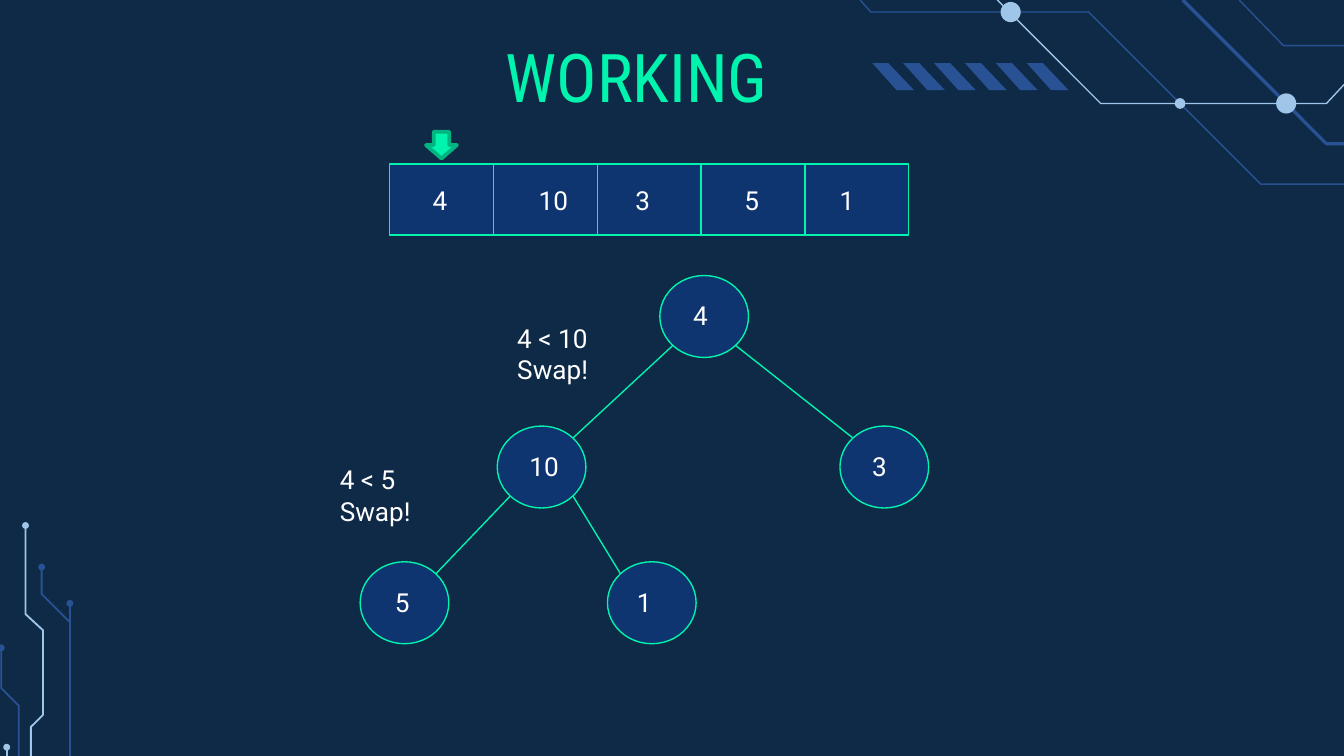
from math import sqrt

from pptx import Presentation
from pptx.dml.color import RGBColor
from pptx.enum.shapes import MSO_CONNECTOR as CONNECTOR, MSO_SHAPE as SHAPE
from pptx.enum.text import MSO_ANCHOR as ANCHOR, MSO_AUTO_SIZE as AUTO_SIZE, PP_ALIGN as ALIGN
from pptx.oxml.xmlchemy import OxmlElement
from pptx.util import Inches, Pt

NAVY = RGBColor(0x0E, 0x2A, 0x47)
BLUE = RGBColor(0x0F, 0x35, 0x70)
GREEN = RGBColor(0x00, 0xF4, 0xAD)
DARK_GREEN = RGBColor(0x00, 0xB5, 0x80)
CIRCUIT = RGBColor(0x28, 0x52, 0x93)
LIGHT = RGBColor(0x9F, 0xC5, 0xE8)
WHITE = RGBColor(0xFF, 0xFF, 0xFF)

SLIDE_WIDTH, SLIDE_HEIGHT = 10, 10 * 9 / 16
NODE_WIDTH, NODE_HEIGHT = 0.66, 0.61
ARRAY_LEFT, ARRAY_WIDTH = 2.9, 3.86

TOP_TRACES = [
    (CIRCUIT, 1.75, [(8.8, 0), (9.87, 1.07), (10, 1.07)]),
    (LIGHT, 0.75, [(7.42, 0), (8.19, 0.77), (9.87, 0.77), (10, 0.63)]),
    (CIRCUIT, 0.75, [(6.4, 0), (6.48, 0.09), (8.1, 0.09), (9.38, 1.37), (10, 1.37)]),
    (CIRCUIT, 0.75, [(9.22, 0), (9.55, 0.34), (10, 0.34)]),
]
TOP_DOTS = [(8.78, 0.77, 0.08), (7.52, 0.09, 0.15), (9.57, 0.77, 0.15)]
CORNER_TRACES = [
    (LIGHT, [(0.19, 3.91), (0.19, 4.57), (0.32, 4.69), (0.32, 5.32), (0.23, 5.41), (0.23, SLIDE_HEIGHT)]),
    (CIRCUIT, [(0.52, 4.49), (0.52, SLIDE_HEIGHT)]),
    (CIRCUIT, [(0.31, 4.22), (0.31, 4.42), (0.52, 4.63)]),
    (CIRCUIT, [(0.01, 4.82), (0.01, 5.12), (0.14, 5.25), (0.14, SLIDE_HEIGHT)]),
    (LIGHT, [(0.05, 5.56), (0.05, SLIDE_HEIGHT)]),
]
CELLS = [("4", 3.12, 0.35), ("10", 3.91, 0.44), ("3", 4.63, 0.36), ("5", 5.44, 0.36), ("1", 6.15, 0.53)]
NODES = {
    "4": (4.91, 2.05, 5.06, 0.36),
    "10": (3.7, 3.17, 3.84, 0.51),
    "3": (6.25, 3.17, 6.39, 0.36),
    "5": (2.68, 4.18, 2.84, 0.36),
    "1": (4.52, 4.18, 4.64, 0.53),
}
EDGES = [("4", "10"), ("10", "5"), ("10", "1"), ("4", "3")]
NOTES = [(3.75, 2.35, 0.91, "4 < 10"), (2.43, 3.4, 0.85, "4 < 5")]


def style_shape(shape, fill, line=None, weight=0.75):
    """Give a shape its fill and outline, without a shadow."""
    shape.shadow.inherit = False
    if fill is None:
        shape.fill.background()
    else:
        shape.fill.solid()
        shape.fill.fore_color.rgb = fill
    if line is None:
        shape.line.fill.background()
    else:
        shape.line.color.rgb = line
        shape.line.width = Pt(weight)


def add_preset(slide, kind, left, top, width, height, fill, line=None, weight=0.75):
    """Add a filled preset shape."""
    shape = slide.shapes.add_shape(kind, Inches(left), Inches(top), Inches(width), Inches(height))
    style_shape(shape, fill, line, weight)


def add_dot(slide, x, y, size, color, line=None):
    """Add a dot centred on a point."""
    add_preset(slide, SHAPE.OVAL, x - size / 2, y - size / 2, size, size, color, line)


def add_line(slide, start, end, color, weight=0.75):
    """Add a straight line between two points."""
    ends = [Inches(value) for value in (*start, *end)]
    connector = slide.shapes.add_connector(CONNECTOR.STRAIGHT, *ends)
    connector.line.color.rgb = color
    connector.line.width = Pt(weight)
    connector._element.spPr.append(OxmlElement("a:effectLst"))


def add_outline(slide, points, close):
    """Add a freeform through the points."""
    points = [(Inches(x), Inches(y)) for x, y in points]
    builder = slide.shapes.build_freeform(*points[0])
    builder.add_line_segments(points[1:], close=close)
    return builder.convert_to_shape()


def add_trace(slide, points, color, weight):
    """Add a circuit trace."""
    if len(points) == 2:
        add_line(slide, *points, color, weight)
    else:
        style_shape(add_outline(slide, points, False), None, color, weight)


def add_text(slide, left, top, width, height, lines, inset=0.1):
    """Add a white text box with one paragraph a line."""
    box = slide.shapes.add_textbox(Inches(left), Inches(top), Inches(width), Inches(height))
    frame = box.text_frame
    frame.word_wrap = True
    frame.margin_top = frame.margin_bottom = Inches(inset)
    frame.text = "\n".join(lines)
    for paragraph in frame.paragraphs:
        paragraph.font.name = "Roboto"
        paragraph.font.size = Pt(14)
        paragraph.font.color.rgb = WHITE


def add_circuit(slide):
    """Draw the circuit decoration in both corners."""
    for color, weight, points in TOP_TRACES:
        add_trace(slide, points, color, weight)
    for x, y, size in TOP_DOTS:
        add_dot(slide, x, y, size, LIGHT)
    for index in range(6):
        left = 6.49 + 0.23 * index
        corners = [(left, 0.47), (left + 0.18, 0.67), (left + 0.31, 0.67), (left + 0.12, 0.47)]
        style_shape(add_outline(slide, corners, True), CIRCUIT)
    for color, points in CORNER_TRACES:
        add_trace(slide, points, color, 1)
        add_dot(slide, *points[0], 0.04, color, color)


def set_title(slide, text):
    """Place and format the title."""
    title = slide.shapes.title
    title.left, title.top, title.width, title.height = map(Inches, (0.58, 0.26, 8.43, 0.53))
    frame = title.text_frame
    frame.margin_left = frame.margin_right = frame.margin_top = frame.margin_bottom = 0
    frame.auto_size = AUTO_SIZE.NONE
    frame.vertical_anchor = ANCHOR.TOP
    frame.text = text
    paragraph = frame.paragraphs[0]
    paragraph.alignment = ALIGN.CENTER
    paragraph.font.name = "Roboto Condensed"
    paragraph.font.size = Pt(36)
    paragraph.font.color.rgb = GREEN


def add_array(slide):
    """Draw the array cells, their values and the pointer."""
    cell_width = ARRAY_WIDTH / len(CELLS)
    for index in range(len(CELLS)):
        left = ARRAY_LEFT + cell_width * index
        add_preset(slide, SHAPE.FLOWCHART_PROCESS, left, 1.22, cell_width, 0.53, BLUE, GREEN)
    for value, left, width in CELLS:
        add_text(slide, left, 1.27, width, 0.44, [value])
    add_preset(slide, SHAPE.DOWN_ARROW, 3.17, 0.98, 0.23, 0.2, GREEN, DARK_GREEN, 2)


def node_point(value, across, down):
    """Return a diagonal point on a node's rim."""
    left, top = NODES[value][:2]
    reach = 1 / sqrt(2)
    return (left + NODE_WIDTH / 2 * (1 + across * reach), top + NODE_HEIGHT / 2 * (1 + down * reach))


def add_tree(slide):
    """Draw the heap's nodes, edges and values."""
    for left, top, _, _ in NODES.values():
        add_preset(slide, SHAPE.OVAL, left, top, NODE_WIDTH, NODE_HEIGHT, BLUE, GREEN)
    for parent, child in EDGES:
        side = 1 if NODES[child][0] > NODES[parent][0] else -1
        add_line(slide, node_point(parent, side, 1), node_point(child, -side, -1), GREEN)
    for value, (_, top, left, width) in NODES.items():
        add_text(slide, left, top + 0.08, width, 0.44, [value])


def main():
    """Build the slide and save it."""
    presentation = Presentation()
    presentation.slide_width = Inches(SLIDE_WIDTH)
    presentation.slide_height = Inches(SLIDE_HEIGHT)
    slide = presentation.slides.add_slide(presentation.slide_layouts[5])
    slide.background.fill.solid()
    slide.background.fill.fore_color.rgb = NAVY
    add_circuit(slide)
    set_title(slide, "WORKING ")
    add_array(slide)
    add_tree(slide)
    for left, top, width, comparison in NOTES:
        add_text(slide, left, top, width, 0.57, [comparison, "Swap!"], 0.05)
    presentation.save("out.pptx")


if __name__ == "__main__":
    main()
